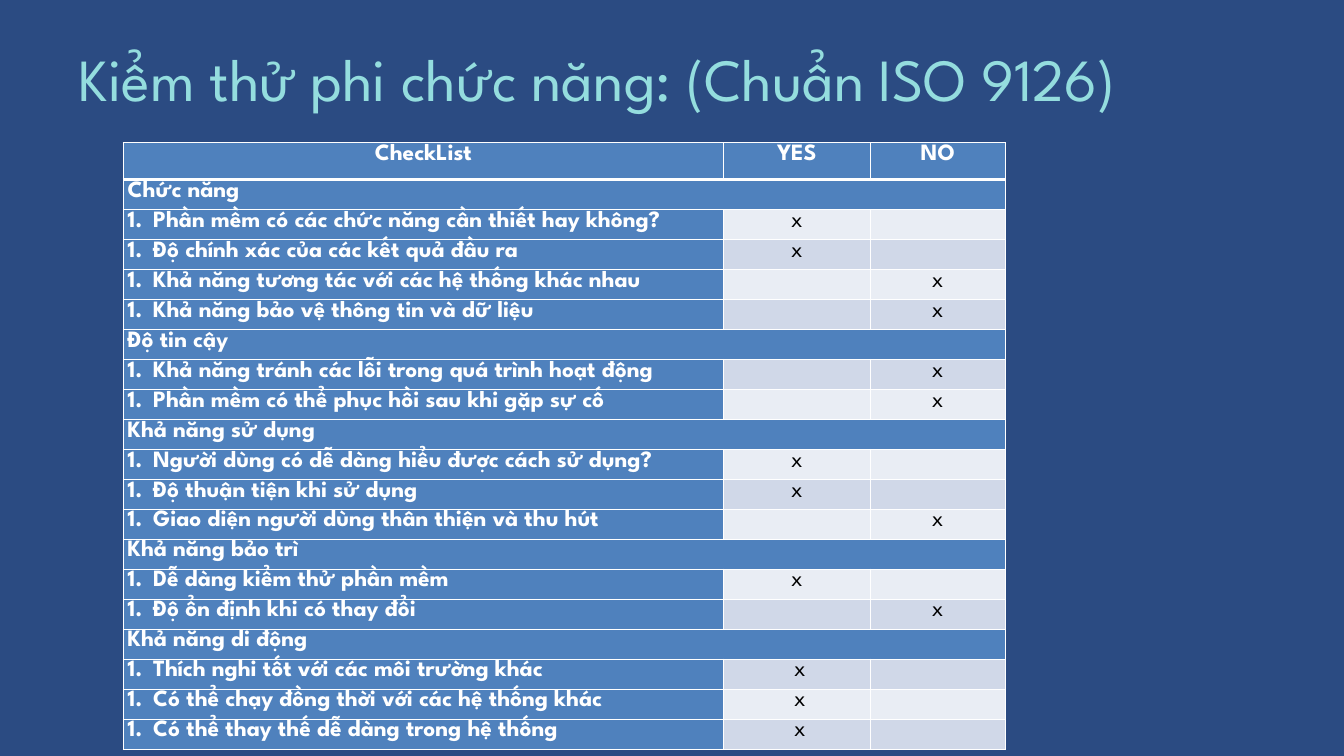
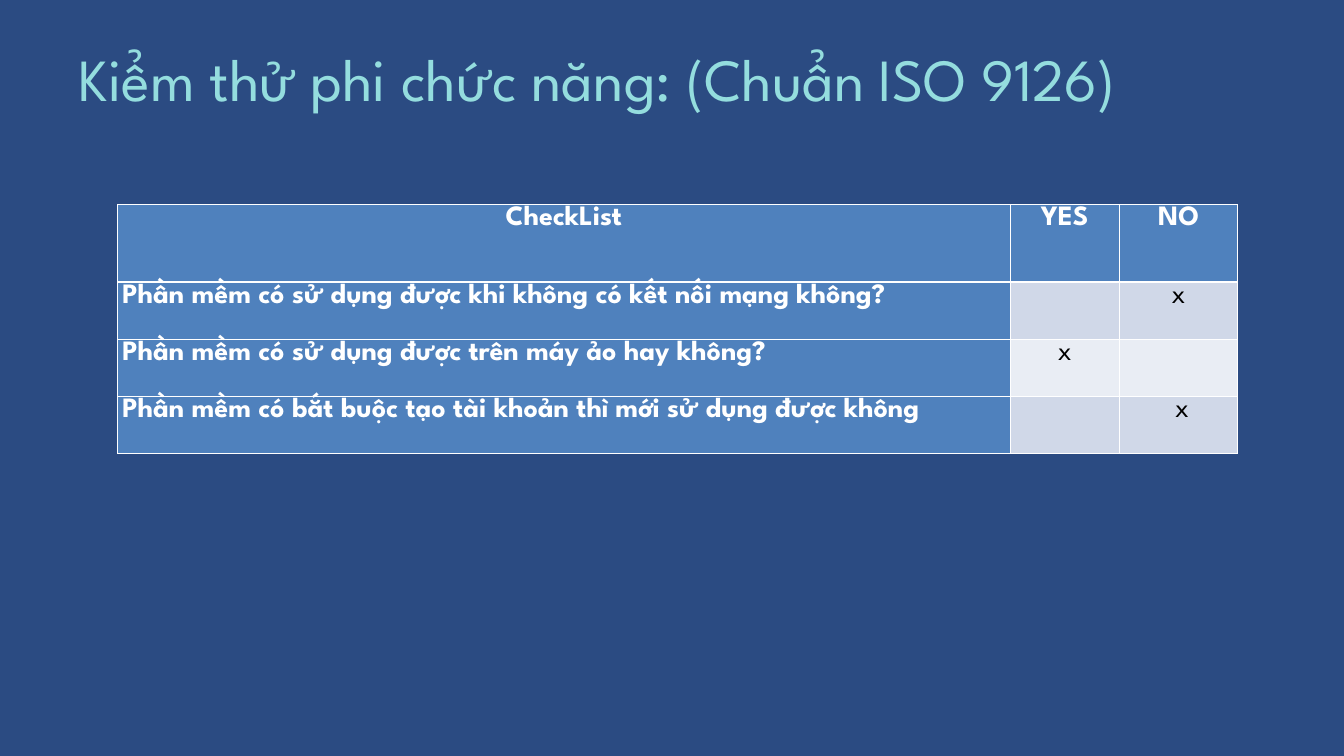
from lxml.etree import SubElement
from pptx import Presentation
from pptx.dml.color import RGBColor
from pptx.enum.text import MSO_AUTO_SIZE, PP_ALIGN
from pptx.oxml.ns import qn
from pptx.util import Inches, Pt

COLORS = {
    "background": "2B4B82",
    "title": "94DDDE",
    "label": "4F81BD",
    "odd": "D0D8E8",
    "even": "E9EDF4",
    "white": "FFFFFF",
    "black": "000000",
}
FONT = "League Spartan"
TITLE = "Kiểm thử phi chức năng: (Chuẩn ISO 9126)"
HEADERS = ["CheckList", "YES", "NO"]

# Each row: label, YES mark, NO mark. A row with only a label is a section.
QUALITY_ROWS = [
    ("Chức năng",),
    ("Phần mềm có các chức năng cần thiết hay không?", "x", ""),
    ("Độ chính xác của các kết quả đầu ra", "x", ""),
    ("Khả năng tương tác với các hệ thống khác nhau", "", "x"),
    ("Khả năng bảo vệ thông tin và dữ liệu", "", "x"),
    ("Độ tin cậy",),
    ("Khả năng tránh các lỗi trong quá trình hoạt động", "", "x"),
    ("Phần mềm có thể phục hồi sau khi gặp sự cố", "", "x"),
    ("Khả năng sử dụng",),
    ("Người dùng có dễ dàng hiểu được cách sử dụng?", "x", ""),
    ("Độ thuận tiện khi sử dụng", "x", ""),
    ("Giao diện người dùng thân thiện và thu hút", "", "x"),
    ("Khả năng bảo trì",),
    ("Dễ dàng kiểm thử phần mềm", "x", ""),
    ("Độ ổn định khi có thay đổi", "", "x"),
    ("Khả năng di động",),
    ("Thích nghi tốt với các môi trường khác", " x", ""),
    ("Có thể chạy đồng thời với các hệ thống khác", " x", ""),
    ("Có thể thay thế dễ dàng trong hệ thống", " x", ""),
]
USAGE_ROWS = [
    ("Phần mềm có sử dụng được khi không có kết nối mạng không?", "", "x"),
    ("Phần mềm có sử dụng được trên máy ảo hay không?", "x", ""),
    ("Phần mềm có bắt buộc tạo tài khoản thì mới sử dụng được không", "", " x"),
]


def rgb(name):
    return RGBColor.from_string(COLORS[name])


def style_font(p, size, color, bold=False):
    p.font.name = FONT
    p.font.size = Pt(size)
    p.font.bold = bold
    p.font.color.rgb = rgb(color)


def add_slide(prs):
    s = prs.slides.add_slide(prs.slide_layouts[6])
    s.background.fill.solid()
    s.background.fill.fore_color.rgb = rgb("background")
    return s


def add_title(s, text):
    sp = s.shapes.add_textbox(Inches(1.17), Inches(0.62), Inches(18.03), Inches(1.08))
    tf = sp.text_frame
    tf.word_wrap = True
    tf.auto_size = MSO_AUTO_SIZE.SHAPE_TO_FIT_TEXT
    tf.margin_left = tf.margin_right = tf.margin_top = tf.margin_bottom = 0
    p = tf.paragraphs[0]
    p.text = text
    p.line_spacing = Pt(76.8)
    style_font(p, 64, "title")


def set_borders(cell, top, bottom):
    """Draw white borders, 1 pt at the sides; must run before the cell is filled."""
    tc_pr = cell._tc.get_or_add_tcPr()
    for side, width in (("L", 1), ("R", 1), ("T", top), ("B", bottom)):
        ln = SubElement(tc_pr, qn(f"a:ln{side}"), w=str(Pt(width)))
        fill = SubElement(ln, qn("a:solidFill"))
        SubElement(fill, qn("a:srgbClr"), val=COLORS["white"])


def add_number(p):
    """Start the paragraph with an automatic "1." and a hanging indent."""
    p_pr = p._p.get_or_add_pPr()
    p_pr.set("marL", str(Inches(0.38)))
    p_pr.set("indent", str(-Inches(0.38)))
    SubElement(p_pr, qn("a:buFont"), typeface="+mj-lt")
    SubElement(p_pr, qn("a:buAutoNum"), type="arabicPeriod")


def fill_cell(cell, text, size, fill, is_label, centered, numbered=False):
    cell.margin_left = cell.margin_right = Inches(0.07)
    cell.margin_top = cell.margin_bottom = 0
    cell.fill.solid()
    cell.fill.fore_color.rgb = rgb(fill)
    if not text:
        return
    p = cell.text_frame.paragraphs[0]
    p.text = text
    if numbered:
        add_number(p)
    p.alignment = PP_ALIGN.CENTER if centered else PP_ALIGN.LEFT
    p.line_spacing = 1.07
    style_font(p, size, "white" if is_label else "black", bold=is_label)


def add_checklist(s, rows, left, top, widths, header_height, row_height, size, numbered):
    grid = [HEADERS, *rows]
    heights = [header_height] + [row_height] * len(rows)
    table = s.shapes.add_table(
        len(grid), len(widths), Inches(left), Inches(top),
        Inches(sum(widths)), Inches(sum(heights)),
    ).table
    for column, width in zip(table.columns, widths):
        column.width = Inches(width)
    for i, (values, height) in enumerate(zip(grid, heights)):
        table.rows[i].height = Inches(height)
        is_header, is_section = i == 0, len(values) == 1
        band = "odd" if i % 2 else "even"
        for j in range(len(widths)):
            cell = table.cell(i, j)
            is_label = is_header or is_section or j == 0
            set_borders(cell, top=3 if i == 1 else 1, bottom=3 if is_header else 1)
            fill_cell(
                cell, values[j] if j < len(values) else "", size,
                "label" if is_label else band, is_label,
                centered=is_header or j > 0,
                numbered=numbered and j == 0 and not (is_header or is_section),
            )
        if is_section:
            table.cell(i, 0).merge(table.cell(i, len(widths) - 1))


def main():
    prs = Presentation()
    prs.slide_width, prs.slide_height = Inches(20), Inches(11.25)

    s = add_slide(prs)
    add_title(s, TITLE)
    add_checklist(
        s, QUALITY_ROWS, 1.83, 2.12, [8.94, 2.18, 2.01],
        header_height=0.55, row_height=8.47 / len(QUALITY_ROWS), size=25, numbered=True,
    )

    s = add_slide(prs)
    add_title(s, TITLE)
    add_checklist(
        s, USAGE_ROWS, 1.75, 3.04, [13.28, 1.63, 1.76],
        header_height=1.16, row_height=0.85, size=30, numbered=False,
    )

    prs.save("out.pptx")


if __name__ == "__main__":
    main()
